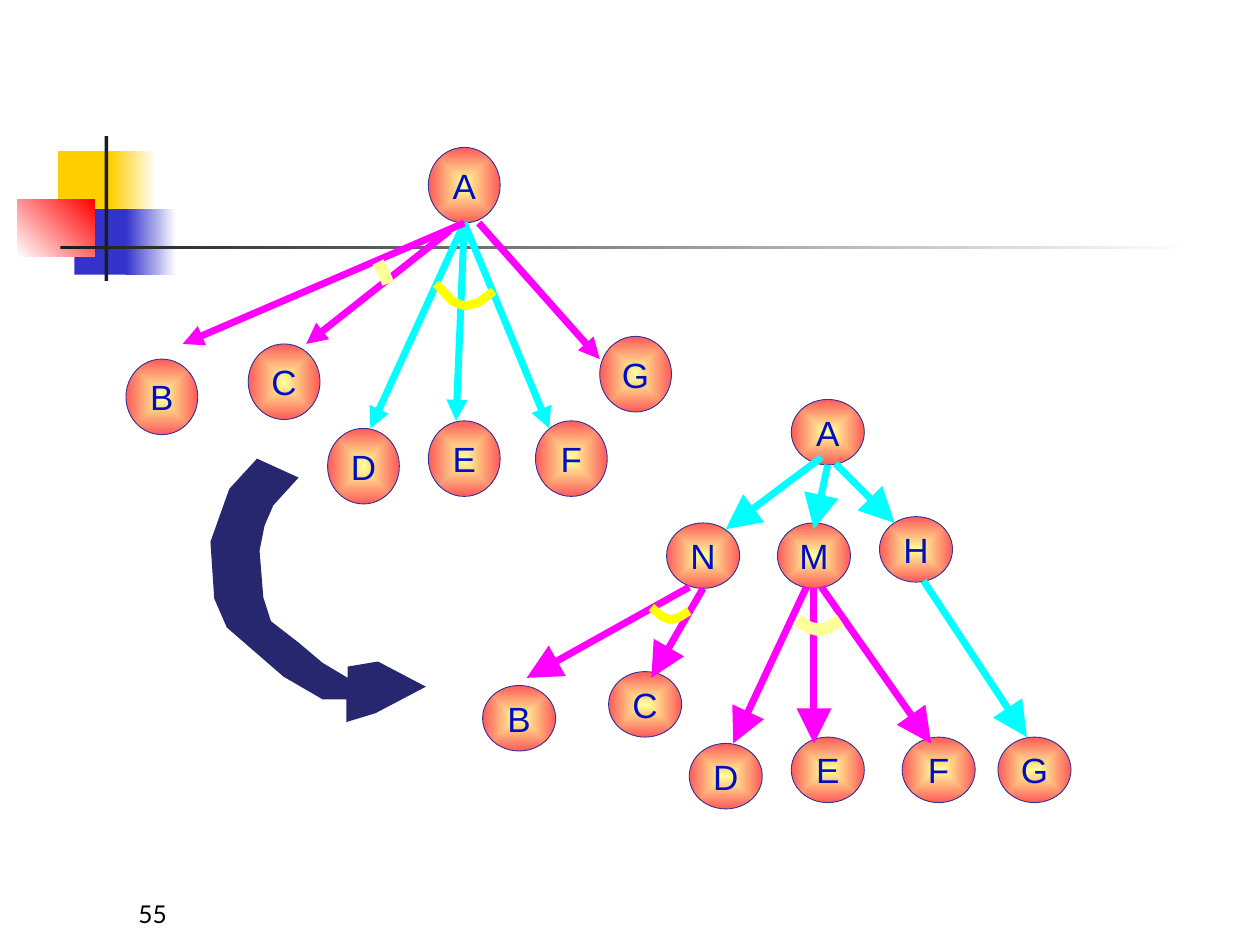
from lxml import etree
from pptx import Presentation
from pptx.dml.color import RGBColor
from pptx.enum.shapes import MSO_CONNECTOR, MSO_SHAPE
from pptx.enum.text import MSO_ANCHOR, PP_ALIGN
from pptx.oxml.ns import qn
from pptx.util import Inches, Pt

RECTANGLE = MSO_SHAPE.RECTANGLE
OVAL = MSO_SHAPE.OVAL
STRAIGHT = MSO_CONNECTOR.STRAIGHT
MIDDLE = MSO_ANCHOR.MIDDLE
BOTTOM = MSO_ANCHOR.BOTTOM
CENTER = PP_ALIGN.CENTER
LEFT = PP_ALIGN.LEFT
BOTTOM_SITE = 2

COLORS = {
    "gold": "FFCF01", "blue": "3333CC", "red": "FF0000", "white": "FFFFFF",
    "dark": "1C1C1C", "black": "000000", "navy": "272770", "outline": "333399",
    "letter": "000EC2", "core": "FFFF99", "rim": "FE5A5A",
    "cyan": "00FFFF", "magenta": "FF00FF", "yellow": "FFFF00",
}

DECORATION = [
    ((0.46, 1.2, 0.48, 0.52), ("gold",), 0),
    ((0.88, 1.2, 0.36, 0.52), ("gold", "white"), 0),
    ((0.59, 1.66, 0.46, 0.52), ("blue",), 0),
    ((1, 1.66, 0.4, 0.52), ("blue", "white"), 0),
    ((0.14, 1.58, 0.61, 0.46), ("white", "red"), 45),
    ((0.83, 1.08, 0.03, 1.15), ("dark",), 0),
    ((0.48, 1.95, 9, 0.03), ("dark", "white"), 0),
]

CURVED_ARROW = [
    (2.04, 3.64), (2.37, 3.79), (2.17, 4.01), (2.1, 4.17), (2.06, 4.37),
    (2.09, 4.74), (2.15, 4.93), (2.37, 5.1), (2.56, 5.26), (2.76, 5.38),
    (2.76, 5.29), (3, 5.25), (3.38, 5.45), (2.98, 5.66), (2.75, 5.73),
    (2.75, 5.55), (2.56, 5.55), (2.25, 5.37), (1.8, 4.98), (1.7, 4.75),
    (1.67, 4.3), (1.82, 3.88),
]

FIRST_TREE = {
    "size": (0.57, 0.6),
    "head": "med",
    "nodes": {"B": (1, 2.85), "C": (1.97, 2.73), "D": (2.6, 3.4), "E": (3.4, 3.34),
              "F": (4.25, 3.34), "G": (4.76, 2.67), "A": (3.4, 1.17)},
    "edges": [
        ("A", (2.94, 3.4), "cyan"),
        ((3.57, 1.83), (2.43, 2.73), "magenta"),
        ("A", (4.36, 3.4), "cyan"),
        ("A", (3.62, 3.34), "cyan"),
        ((3.8, 1.77), (4.76, 2.85), "magenta"),
        ("A", (1.45, 2.73), "magenta"),
    ],
    "arcs": [
        ([(3.46, 2.25), (3.59, 2.39), (3.69, 2.43), (3.8, 2.4), (3.92, 2.31)], "yellow", 5),
        ([(3, 2.08), (3.03, 2.14), (3.06, 2.2), (3.08, 2.25)], "core", 7),
    ],
}

SECOND_TREE = {
    "size": (0.58, 0.52),
    "head": "lg",
    "nodes": {"H": (6.98, 4.1), "M": (6.17, 4.15), "B": (3.83, 5.44), "C": (4.83, 5.33),
              "D": (5.47, 5.9), "E": (6.28, 5.85), "F": (7.16, 5.85), "G": (7.92, 5.85),
              "A": (6.28, 3.17), "N": (5.29, 4.15)},
    "edges": [
        ("A", (6.46, 4.2), "cyan"),
        ((6.63, 3.68), (7.1, 4.15), "cyan"),
        ((6.52, 3.63), (5.76, 4.2), "cyan"),
        ((5.47, 4.66), (4.18, 5.38), "magenta"),
        ("N", (5.17, 5.38), "magenta"),
        ((6.4, 4.66), (5.82, 5.9), "magenta"),
        ("M", (6.46, 5.9), "magenta"),
        ((6.52, 4.66), (7.39, 5.9), "magenta"),
        ((7.33, 4.61), (8.15, 5.85), "cyan"),
    ],
    "arcs": [
        ([(5.17, 4.82), (5.25, 4.89), (5.32, 4.92), (5.39, 4.9), (5.47, 4.85)], "yellow", 5),
        ([(6.33, 4.92), (6.42, 4.98), (6.5, 5), (6.58, 4.98), (6.67, 4.92)], "core", 7),
    ],
}


def color(name):
    return RGBColor.from_string(COLORS[name])


def fill_shape(shape, names, angle=0):
    shape.shadow.inherit = False
    if len(names) == 1:
        shape.fill.solid()
        shape.fill.fore_color.rgb = color(names[0])
        return
    shape.fill.gradient()
    shape.fill.gradient_angle = angle
    for stop, name, position in zip(shape.fill.gradient_stops, names, (0, 1)):
        stop.color.rgb = color(name)
        stop.position = position


def make_radial(shape):
    gradient = shape.element.spPr.find(qn("a:gradFill"))
    gradient.remove(gradient.find(qn("a:lin")))
    radial = etree.SubElement(gradient, qn("a:path"), path="shape")
    etree.SubElement(radial, qn("a:fillToRect"), l="50000", t="50000", r="50000", b="50000")


def write_text(box, text, *, font, size, ink, align, anchor):
    frame = box.text_frame
    frame.vertical_anchor = anchor
    para = frame.paragraphs[0]
    para.alignment = align
    span = para.add_run()
    span.text = text
    span.font.name = font
    span.font.size = Pt(size)
    span.font.color.rgb = color(ink)
    return frame


def add_block(page, place, names, angle):
    block = page.shapes.add_shape(RECTANGLE, *map(Inches, place))
    fill_shape(block, names, angle)
    block.line.fill.background()


def add_node(group, letter, corner, size):
    node = group.shapes.add_shape(OVAL, *map(Inches, corner + size))
    fill_shape(node, ("core", "rim"))
    make_radial(node)
    node.line.color.rgb = color("outline")
    node.line.width = Pt(0.5)
    frame = write_text(node, letter, font="Arial", size=20, ink="letter",
                       align=CENTER, anchor=MIDDLE)
    frame.word_wrap = False
    return node


def add_edge(group, nodes, start, end, ink, head):
    begin = (0, 0) if start in nodes else start
    edge = group.shapes.add_connector(STRAIGHT, *map(Inches, begin + end))
    if start in nodes:
        edge.begin_connect(nodes[start], BOTTOM_SITE)
    edge.line.color.rgb = color(ink)
    edge.line.width = Pt(4)
    etree.SubElement(edge.line._get_or_add_ln(), qn("a:tailEnd"),
                     type="triangle", w=head, len=head)
    etree.SubElement(edge._element.spPr, qn("a:effectLst"))


def add_outline(shapes, points, close):
    corners = [(Inches(x), Inches(y)) for x, y in points]
    builder = shapes.build_freeform(*corners[0])
    builder.add_line_segments(corners[1:], close=close)
    outline = builder.convert_to_shape()
    outline.shadow.inherit = False
    return outline


def add_arc(group, points, ink, width):
    arc = add_outline(group.shapes, points, False)
    arc.fill.background()
    arc.line.color.rgb = color(ink)
    arc.line.width = Pt(width)


def add_tree(page, tree):
    group = page.shapes.add_group_shape()
    nodes = {letter: add_node(group, letter, corner, tree["size"])
             for letter, corner in tree["nodes"].items()}
    for start, end, ink in tree["edges"]:
        add_edge(group, nodes, start, end, ink, tree["head"])
    for arc in tree["arcs"]:
        add_arc(group, *arc)


def main():
    deck = Presentation()
    deck.slide_width, deck.slide_height = Inches(10), Inches(7.5)
    page = deck.slides.add_slide(deck.slide_layouts[6])
    for block in DECORATION:
        add_block(page, *block)
    number = page.shapes.add_textbox(*map(Inches, (1, 6.92, 2.08, 0.5)))
    frame = write_text(number, "55", font="Lato", size=14, ink="black",
                       align=LEFT, anchor=BOTTOM)
    frame.word_wrap = True
    arrow = add_outline(page.shapes, CURVED_ARROW, True)
    fill_shape(arrow, ("navy",))
    arrow.line.fill.background()
    for tree in (FIRST_TREE, SECOND_TREE):
        add_tree(page, tree)
    deck.save("out.pptx")


if __name__ == "__main__":
    main()
